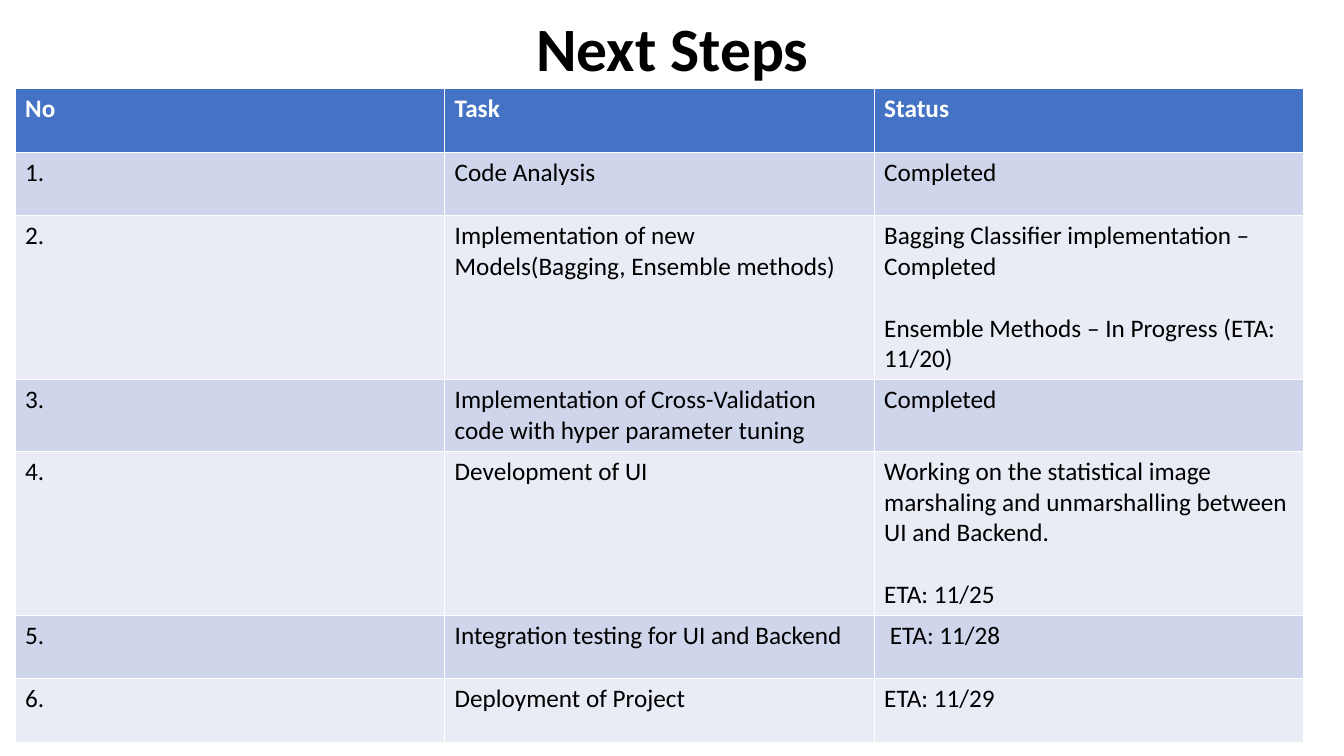
"""Build the "Next Steps" slide: a title above a task status table."""
from dataclasses import dataclass

import pptx
import pptx.dml.color
import pptx.enum.text
import pptx.util

Inches = pptx.util.Inches
Pt = pptx.util.Pt
RGBColor = pptx.dml.color.RGBColor

BLACK = RGBColor(0x00, 0x00, 0x00)
WHITE = RGBColor(0xFF, 0xFF, 0xFF)
HEADER_BLUE = RGBColor(0x44, 0x72, 0xC4)
BANDS = (RGBColor(0xE9, 0xEB, 0xF5), RGBColor(0xCF, 0xD5, 0xEA))

TITLE_FONT = {"name": "Calibri", "size": Pt(44), "bold": True}
HEADER_FONT = {"name": "Calibri", "size": Pt(18), "bold": True}
BODY_FONT = {**HEADER_FONT, "bold": False}
COL_WIDTH = 4.26


@dataclass(frozen=True)
class Step:
    task: str
    status: tuple[str, ...]
    height: float = 0.63


STEPS = (
    Step("Code Analysis", ("Completed",)),
    Step("Implementation of new Models(Bagging, Ensemble methods)",
         ("Bagging Classifier implementation – Completed",
          "Ensemble Methods – In Progress (ETA: 11/20)"), 1.6),
    Step("Implementation of Cross-Validation code with hyper parameter tuning",
         ("Completed",), 0.7),
    Step("Development of UI",
         ("Working on the statistical image marshaling and unmarshalling "
          "between UI and Backend.", "ETA: 11/25"), 1.6),
    Step("Integration testing for UI and Backend", (" ETA: 11/28",)),
    Step("Deployment of Project", ("ETA: 11/29",)),
)


def write(p, text: str, fmt: dict, color: RGBColor) -> None:
    """Add a formatted run to a paragraph."""
    r = p.add_run()
    r.text = text
    for name, value in fmt.items():
        setattr(r.font, name, value)
    r.font.color.rgb = color


def fill_cell(cell, lines: tuple[str, ...], fmt: dict, color: RGBColor,
              fill: RGBColor) -> None:
    """Colour a cell and write its lines one blank line apart."""
    cell.fill.solid()
    cell.fill.fore_color.rgb = fill
    tf = cell.text_frame
    for i, line in enumerate(lines):
        p = tf.add_paragraph() if i else tf.paragraphs[0]
        if i:
            p.space_before = Pt(22)
        write(p, line, fmt, color)


def add_title(s, text: str) -> None:
    """Place and format the title placeholder."""
    sp = s.shapes.title
    box = {"left": 0.92, "top": 0, "width": 11.5, "height": 1.03}
    for name, value in box.items():
        setattr(sp, name, Inches(value))
    tf = sp.text_frame
    tf.vertical_anchor = pptx.enum.text.MSO_ANCHOR.MIDDLE
    p = tf.paragraphs[0]
    p.alignment = pptx.enum.text.PP_ALIGN.CENTER
    p.line_spacing = 0.9
    write(p, text, TITLE_FONT, BLACK)


def add_steps(s, steps: tuple[Step, ...]) -> None:
    """Draw the header row and one banded row per step."""
    heights = [0.63] + [step.height for step in steps]
    table = s.shapes.add_table(
        len(heights), 3, Inches(0.15), Inches(0.88),
        Inches(3 * COL_WIDTH), Inches(sum(heights))).table
    for column in table.columns:
        column.width = Inches(COL_WIDTH)
    for row, height in zip(table.rows, heights):
        row.height = Inches(height)
    for col, label in enumerate(("No", "Task", "Status")):
        fill_cell(table.cell(0, col), (label,), HEADER_FONT, WHITE, HEADER_BLUE)
    for n, step in enumerate(steps, 1):
        for col, lines in enumerate(((f"{n}.",), (step.task,), step.status)):
            fill_cell(table.cell(n, col), lines, BODY_FONT, BLACK, BANDS[n % 2])


def main() -> None:
    """Create and save the presentation."""
    prs = pptx.Presentation()
    prs.slide_width, prs.slide_height = Inches(13.33), Inches(7.5)
    s = prs.slides.add_slide(prs.slide_layouts[5])
    add_title(s, "Next Steps")
    add_steps(s, STEPS)
    prs.save("out.pptx")


if __name__ == "__main__":
    main()
